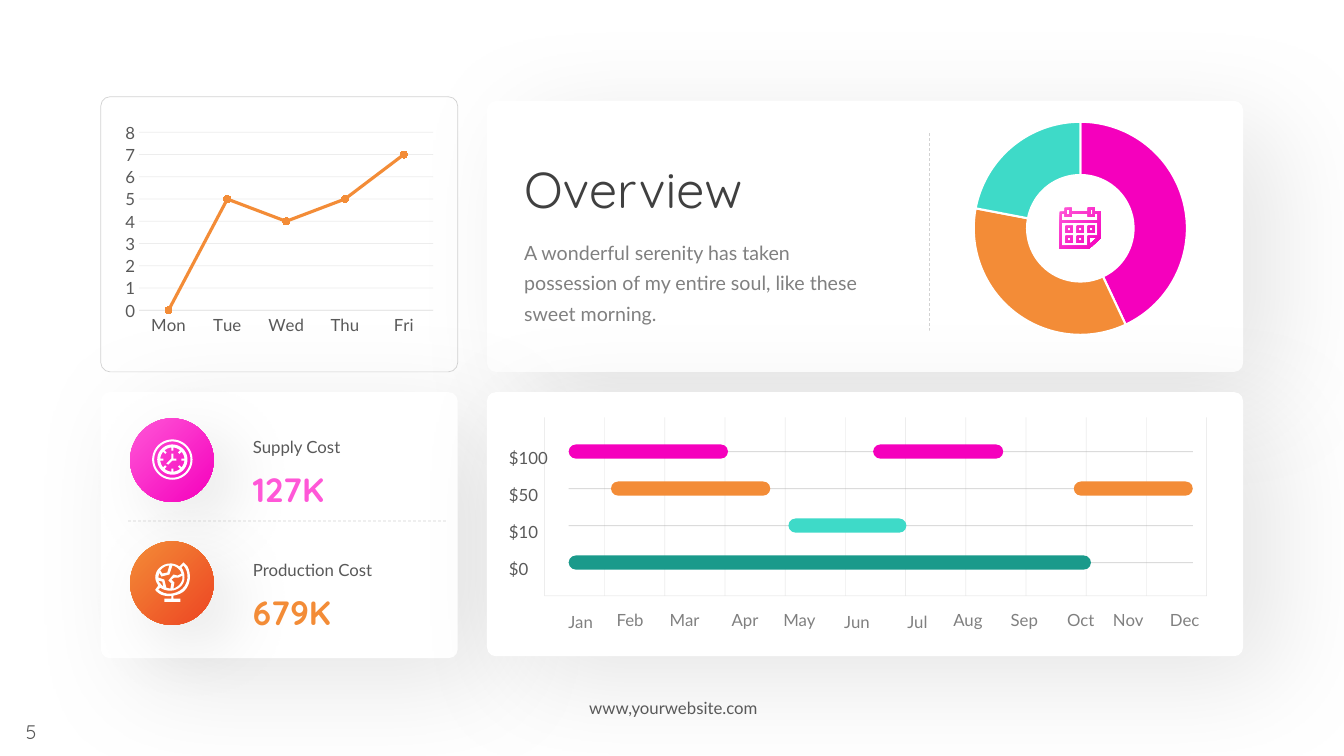
"""Build the overview dashboard slide with charts, cost cards and a yearly timeline."""
import math

import lxml.etree
import pptx
import pptx.chart.data
import pptx.dml.color
import pptx.enum.chart
import pptx.enum.dml
import pptx.enum.shapes
import pptx.enum.text
import pptx.oxml.ns
import pptx.util

Inches, Pt, qn = pptx.util.Inches, pptx.util.Pt, pptx.oxml.ns.qn
ROUND = pptx.enum.shapes.MSO_SHAPE.ROUNDED_RECTANGLE
STRAIGHT = pptx.enum.shapes.MSO_CONNECTOR.STRAIGHT
CENTER = pptx.enum.text.PP_ALIGN.CENTER
MAGENTA, ORANGE, TEAL, GREEN = "F500BD", "F38C37", "3EDAC8", "1A9A8B"
WHITE, GRAY, DARK, MUTED = "FFFFFF", "A6A6A6", "595959", "808080"
PINK_BLEND, ORANGE_BLEND = ("FF57D7", MAGENTA), (ORANGE, "ED4523")


def paint(fill, *colors, alpha=100):
    if len(colors) == 2:
        fill.gradient()
        fill.gradient_angle = 315
        for stop, color in zip(fill.gradient_stops, colors):
            stop.color.rgb = pptx.dml.color.RGBColor.from_string(color)
        return
    fill.solid()
    fill.fore_color.rgb = pptx.dml.color.RGBColor.from_string(colors[0])
    if alpha < 100:
        srgb = fill._xPr.find(".//" + qn("a:srgbClr"))
        lxml.etree.SubElement(srgb, qn("a:alpha"), val=str(alpha * 1000))


def add_text(text, box, size, colors, font="Lato", bold=False, align=None, spacing=1.3):
    tf = slide.shapes.add_textbox(*map(Inches, box)).text_frame
    tf.word_wrap = True
    tf.auto_size = pptx.enum.text.MSO_AUTO_SIZE.SHAPE_TO_FIT_TEXT
    tf.text = text
    p = tf.paragraphs[0]
    p.alignment = align
    if spacing:
        p.line_spacing, p.space_after = spacing, Pt(6)
    r = p.runs[0]
    r.font.size, r.font.name, r.font.bold = Pt(size), font, bold
    paint(r.font.fill, *colors)


prs = pptx.Presentation()
prs.slide_width, prs.slide_height = Inches(13.33), Inches(7.5)
slide = prs.slides.add_slide(prs.slide_layouts[6])

card_shadow, badge_shadow = (80, 30, 35), (50, 20, 45)
row_tops = [4.48 + 0.367 * i for i in range(4)]
panels = [
    (4.83, 1, 7.5, 2.69, 0.034, (WHITE,), card_shadow),
    (1, 3.89, 3.54, 2.64, 0.034, (WHITE,), card_shadow),
    (1, 0.96, 3.54, 2.73, 0.034, None, None),
    (4.83, 3.89, 7.5, 2.62, 0.034, (WHITE,), card_shadow),
    (1.29, 4.15, 0.83, 0.83, 0.5, PINK_BLEND, badge_shadow),
    (1.29, 5.37, 0.83, 0.83, 0.5, ORANGE_BLEND, badge_shadow),
]
bars = [(0, 5.64, 1.58, MAGENTA), (0, 8.66, 1.29, MAGENTA), (1, 6.06, 1.58, ORANGE),
        (1, 10.65, 1.18, ORANGE), (2, 7.82, 1.17, TEAL), (3, 5.64, 5.18, GREEN)]
row_lines = [(5.64, y, 11.83, y, 0.75, 40, False) for y in row_tops]
grid_lines = [(5.4 + 0.597 * i, 4.14, 5.4 + 0.597 * i, 5.91, 0.5, 20, False) for i in range(12)]
grid_lines.append((5.4, 5.91, 11.97, 5.91, 0.5, 20, False))
dividers = [(9.22, 1.32, 9.22, 3.28, 0.5, 50, True), (1.27, 5.17, 4.44, 5.17, 0.5, 50, True)]

for x, y, w, h, corner, colors, shadow in panels:
    sp = slide.shapes.add_shape(ROUND, *map(Inches, (x, y, w, h)))
    sp.adjustments[0] = corner
    sp.shadow.inherit = False
    if not colors:
        sp.fill.background()
        paint(sp.line.fill, GRAY, alpha=50)
        sp.line.width = Pt(0.5)
        continue
    paint(sp.fill, *colors)
    sp.line.fill.background()
    blur, dist, angle = shadow
    outer = lxml.etree.SubElement(
        sp._element.spPr.find(qn("a:effectLst")), qn("a:outerShdw"), blurRad=str(Pt(blur)),
        dist=str(Pt(dist)), dir=str(angle * 60000), algn="ctr", rotWithShape="0")
    srgb = lxml.etree.SubElement(outer, qn("a:srgbClr"), val="000000")
    lxml.etree.SubElement(srgb, qn("a:alpha"), val="10000")

for x1, y1, x2, y2, width, alpha, dashed in row_lines + dividers + grid_lines:
    line = slide.shapes.add_connector(STRAIGHT, *map(Inches, (x1, y1, x2, y2)))
    paint(line.line.fill, GRAY, alpha=alpha)
    line.line.width = Pt(width)
    if dashed:
        line.line.dash_style = pptx.enum.dml.MSO_LINE.DASH
    lxml.etree.SubElement(line._element.spPr, qn("a:effectLst"))

for row, x, w, color in bars:
    sp = slide.shapes.add_shape(ROUND, *map(Inches, (x, row_tops[row] - 0.07, w, 0.14)))
    sp.adjustments[0] = 0.5
    sp.shadow.inherit = False
    paint(sp.fill, color)
    sp.line.fill.background()

data = pptx.chart.data.CategoryChartData()
data.categories = ["1", "2", "3"]
data.add_series("Series 1", (43, 35, 22))
chart = slide.shapes.add_chart(pptx.enum.chart.XL_CHART_TYPE.DOUGHNUT,
                               *map(Inches, (8.8, 1.07, 3.83, 2.39)), data).chart
chart.has_legend = chart.has_title = False
chart.font.size, chart.font.name = Pt(10), "Lato"
chart.plots[0].vary_by_categories = False
chart._chartSpace.find(".//" + qn("c:holeSize")).set("val", "64")
for i, color in enumerate((MAGENTA, ORANGE, TEAL)):
    point = chart.plots[0].series[0].points[i]
    paint(point.format.fill, color)
    paint(point.format.line.fill, WHITE)
    point.format.line.width = Pt(1.5)

data = pptx.chart.data.CategoryChartData()
data.categories = ["Mon", "Tue", "Wed", "Thu", "Fri"]
data.add_series("Series 1", (0, 5, 4, 5, 7))
chart = slide.shapes.add_chart(pptx.enum.chart.XL_CHART_TYPE.LINE_MARKERS,
                               *map(Inches, (1.18, 1.17, 3.18, 2.19)), data).chart
chart.has_legend = chart.has_title = False
chart.font.size, chart.font.name = Pt(12), "Lato"
paint(chart.font.fill, DARK)
chart.plots[0].vary_by_categories = False
for axis in (chart.category_axis, chart.value_axis):
    axis.major_tick_mark = axis.minor_tick_mark = pptx.enum.chart.XL_TICK_MARK.NONE
chart.value_axis.minimum_scale, chart.value_axis.maximum_scale = 0, 8
chart.value_axis.major_unit = 1
chart.value_axis.format.line.fill.background()
for axis_line in (chart.category_axis.format.line, chart.value_axis.major_gridlines.format.line):
    paint(axis_line.fill, GRAY, alpha=20)
    axis_line.width = Pt(0.5)
series = chart.plots[0].series[0]
series.smooth = False
paint(series.format.line.fill, ORANGE)
series.format.line.width = Pt(2.25)
series.marker.style, series.marker.size = pptx.enum.chart.XL_MARKER_STYLE.CIRCLE, 5
paint(series.marker.format.fill, ORANGE)
paint(series.marker.format.line.fill, ORANGE)

rects = [(10.82, 2.08, 0.02, 0.05), (10.58, 2.08, 0.03, 0.05)]
for x, y in [(10.57, 2.24), (10.68, 2.24), (10.79, 2.24), (10.57, 2.34), (10.68, 2.34)]:
    rects += [(x, y, 0.07, 0.07), (x + 0.02, y + 0.02, 0.03, 0.03)]
calendar = [[(x, y), (x + w, y), (x + w, y + h), (x, y + h)] for x, y, w, h in rects] + [
    [(10.81, 2.36), (10.81, 2.42), (10.88, 2.36)],
    [(10.53, 2.21), (10.53, 2.44), (10.79, 2.44), (10.79, 2.34), (10.89, 2.34), (10.89, 2.21)],
    [(10.53, 2.12), (10.53, 2.19), (10.89, 2.19), (10.89, 2.12), (10.86, 2.12), (10.86, 2.15),
     (10.79, 2.15), (10.79, 2.12), (10.63, 2.12), (10.63, 2.15), (10.56, 2.15), (10.56, 2.12)],
    [(10.56, 2.06), (10.63, 2.06), (10.63, 2.1), (10.79, 2.1), (10.79, 2.06), (10.86, 2.06),
     (10.86, 2.1), (10.92, 2.1), (10.92, 2.36), (10.8, 2.47), (10.51, 2.47), (10.51, 2.1),
     (10.56, 2.1)]]
clock = [[(1.71 + radius * math.cos(math.pi * i / 30), 4.56 + radius * math.sin(math.pi * i / 30))
          for i in range(60)] for radius in (0.2, 0.18, 0.15, 0.12)]
for i in range(8):
    c, s = math.cos(math.pi * i / 4), math.sin(math.pi * i / 4)
    clock.append([(1.71 + u * c - v * s, 4.56 + u * s + v * c)
                  for u, v in ((0.09, -0.01), (0.12, -0.01), (0.12, 0.01), (0.09, 0.01))])
clock.append([(1.7, 4.5), (1.72, 4.5), (1.72, 4.55), (1.75, 4.55), (1.75, 4.57), (1.71, 4.57),
              (1.67, 4.61), (1.65, 4.6), (1.7, 4.55)])
globe = [
    [(1.83, 5.86), (1.89, 5.8, 1.9, 5.7, 1.86, 5.62), (1.82, 5.58), (1.78, 5.62),
     (1.75, 5.6, 1.72, 5.59, 1.69, 5.59), (1.61, 5.59, 1.54, 5.65, 1.54, 5.73),
     (1.54, 5.76, 1.56, 5.79, 1.57, 5.81), (1.54, 5.85), (1.55, 5.87, 1.58, 5.89, 1.6, 5.9),
     (1.63, 5.91, 1.67, 5.92, 1.7, 5.91), (1.7, 5.94), (1.63, 5.94), (1.63, 5.97), (1.79, 5.97),
     (1.79, 5.94), (1.72, 5.94), (1.72, 5.91), (1.76, 5.9, 1.8, 5.89, 1.83, 5.86)],
    [(1.81, 5.73), (1.81, 5.78, 1.77, 5.82, 1.72, 5.84), (1.73, 5.78), (1.7, 5.75), (1.73, 5.73),
     (1.77, 5.73), (1.81, 5.71)],
    [(1.76, 5.71), (1.72, 5.7), (1.67, 5.76), (1.7, 5.79), (1.69, 5.84), (1.65, 5.83),
     (1.63, 5.75), (1.57, 5.73), (1.58, 5.68), (1.6, 5.72), (1.68, 5.7), (1.71, 5.61),
     (1.75, 5.62, 1.79, 5.65, 1.8, 5.69)],
    [(1.62, 5.82), (1.6, 5.8, 1.58, 5.78, 1.57, 5.76), (1.61, 5.77)],
    [(1.68, 5.61), (1.66, 5.68), (1.61, 5.69), (1.59, 5.66), (1.61, 5.63, 1.65, 5.61, 1.68, 5.61)],
    [(1.57, 5.85), (1.59, 5.83), (1.62, 5.85, 1.65, 5.86, 1.69, 5.86),
     (1.77, 5.86, 1.83, 5.8, 1.83, 5.73), (1.83, 5.69, 1.82, 5.66, 1.8, 5.63), (1.82, 5.61),
     (1.88, 5.68, 1.87, 5.78, 1.81, 5.84), (1.74, 5.9, 1.64, 5.91, 1.57, 5.85)]]
for contours, colors in ((calendar, PINK_BLEND), (clock, (WHITE,)), (globe, (WHITE,))):
    builder = slide.shapes.build_freeform(*map(Inches, contours[0][0]))
    for contour in contours:
        points = [contour[0]]
        for node in contour[1:]:
            a, b, c, d = points[-1], node[:2], node[2:4], node[4:]
            points += [node] if not d else [
                tuple((1 - t) ** 3 * a[k] + 3 * t * (1 - t) ** 2 * b[k]
                      + 3 * t * t * (1 - t) * c[k] + t ** 3 * d[k] for k in (0, 1))
                for t in (0.125 * n for n in range(1, 9))]
        points = [(Inches(x), Inches(y)) for x, y in points]
        builder.move_to(*points[0])
        builder.add_line_segments(points[1:], close=True)
    sp = builder.convert_to_shape()
    sp.shadow.inherit = False
    paint(sp.fill, *colors)
    sp.line.fill.background()

add_text("Overview", (5.1, 1.34, 3.83, 0.81), 36, ("404040",), "Quicksand")
add_text("A wonderful serenity has taken possession of my entire soul, like these sweet morning.",
         (5.1, 2.27, 3.55, 0.99), 14, (MUTED,))
for name, amount, y, blend in (("Supply Cost", "127K", 4.22, PINK_BLEND),
                               ("Production Cost", "679K", 5.44, ORANGE_BLEND)):
    add_text(name, (2.41, y, 2.04, 0.33), 12, (DARK,))
    add_text(amount, (2.41, y + 0.265, 2.04, 0.58), 24, blend, "Quicksand", True)
for price, y in zip(("$100", "$50", "$10", "$0"), row_tops):
    add_text(price, (4.95, y - 0.15, 0.8, 0.33), 12, (DARK,))
months = {"Jan": 5.76, "Feb": 6.25, "Mar": 6.79, "Apr": 7.39, "May": 7.93, "Jun": 8.5,
          "Jul": 9.1, "Aug": 9.6, "Sep": 10.16, "Oct": 10.72, "Nov": 11.19, "Dec": 11.75}
for month, x in months.items():
    y = 6.02 if month[0] == "J" else 6
    add_text(month, (x - 0.4, y, 0.8, 0.3), 12, (MUTED,), align=CENTER, spacing=None)
add_text("www,yourwebsite.com", (5.46, 6.87, 2.44, 0.3), 12, (DARK,), align=CENTER, spacing=None)
add_text("5", (0, 7.09, 0.62, 0.34), 14, (DARK,), "Quicksand", align=CENTER, spacing=None)
prs.save("out.pptx")
